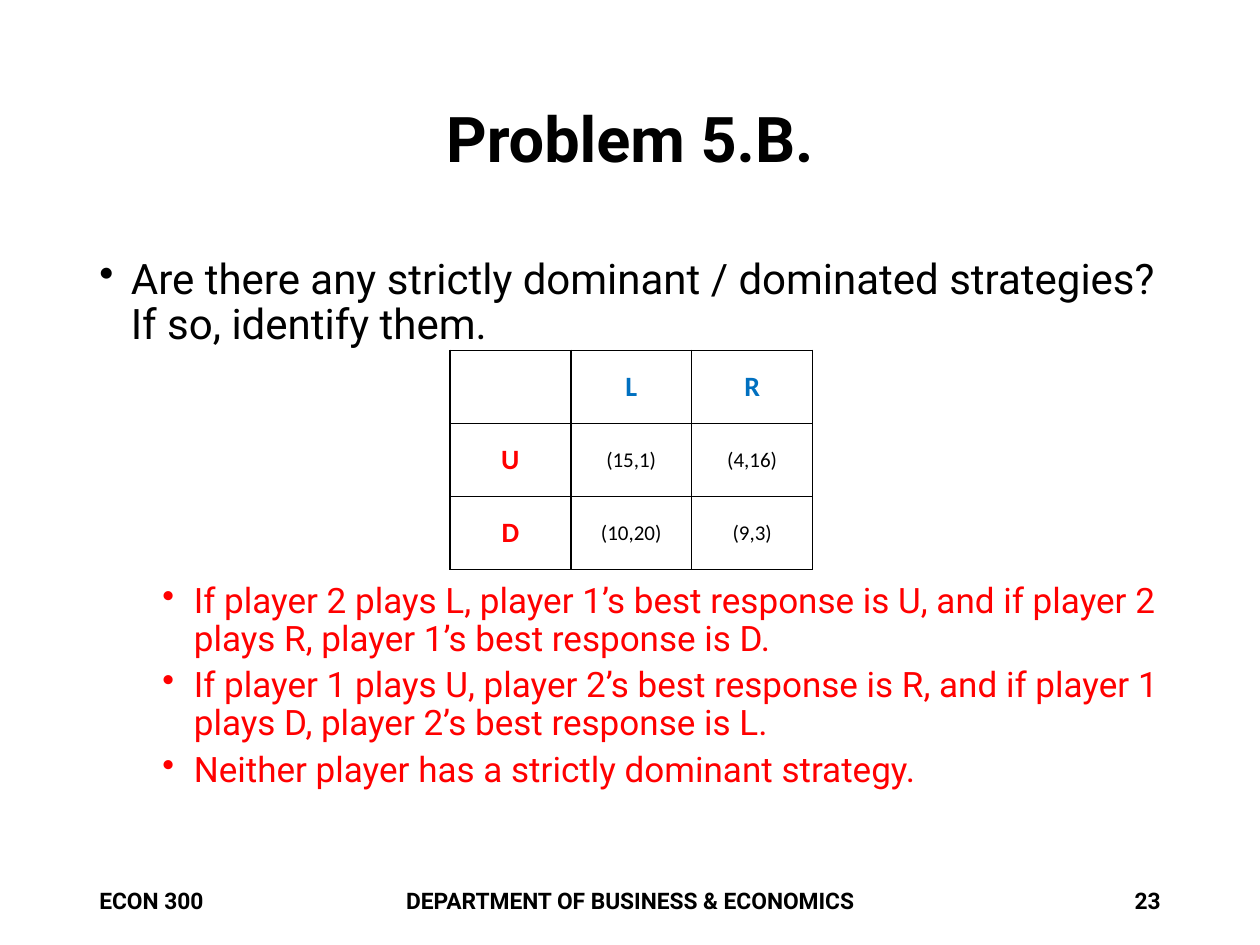
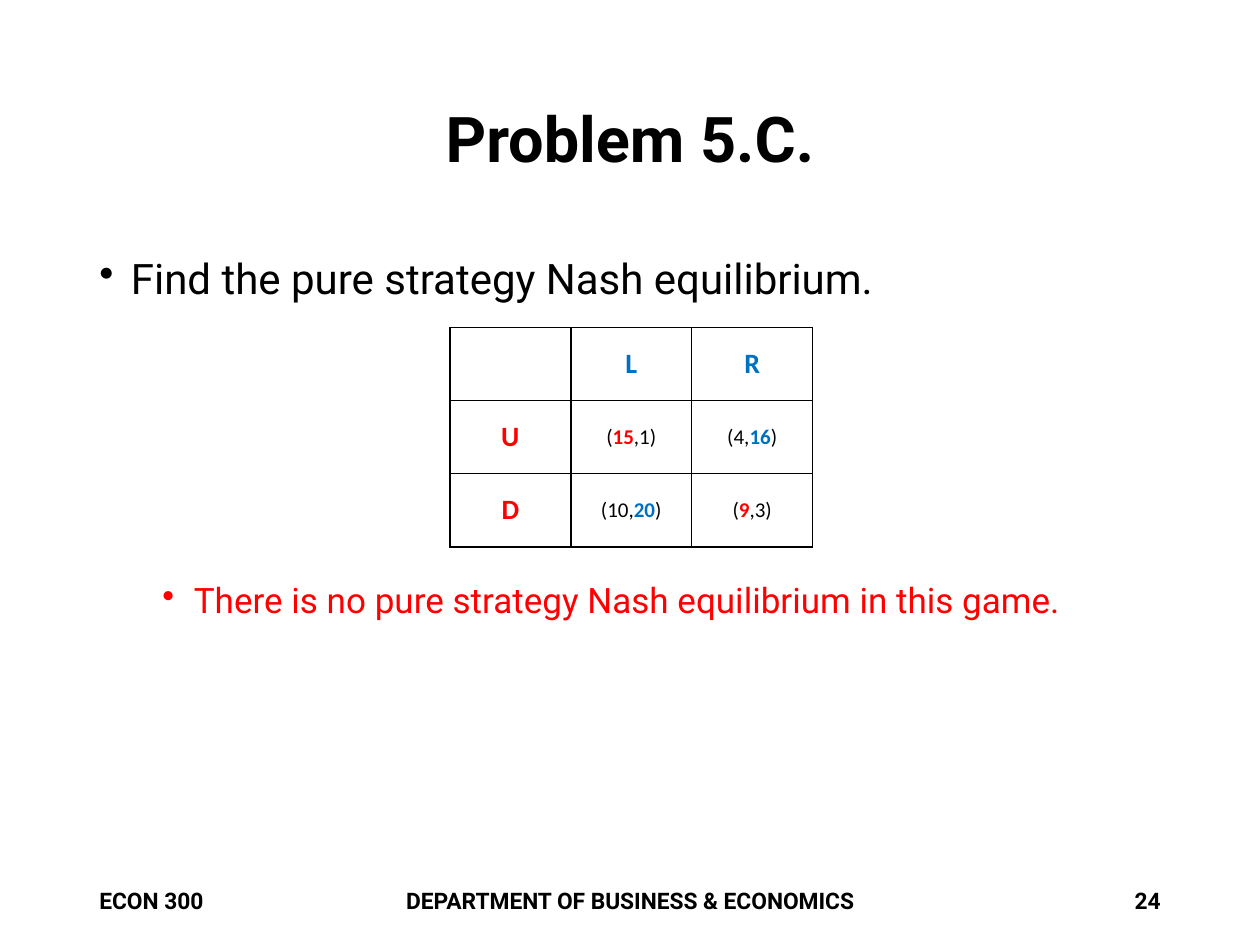
import pptx
import pptx.util
import pptx.dml.color
import pptx.enum.text
import pptx.oxml
import pptx.oxml.ns
from lxml import etree

Inches, Pt = pptx.util.Inches, pptx.util.Pt
RGBColor = pptx.dml.color.RGBColor
ALIGN = pptx.enum.text.PP_ALIGN
MIDDLE = pptx.enum.text.MSO_ANCHOR.MIDDLE
qn = pptx.oxml.ns.qn

# Shared colours and text formats
BLACK = RGBColor(0x00, 0x00, 0x00)
PLAYER_1 = RGBColor(0xFF, 0x00, 0x00)
PLAYER_2 = RGBColor(0x00, 0x70, 0xC0)
ANSWER = PLAYER_1

TITLE_FONT = {"name": "Roboto", "size": Pt(36), "bold": True}
QUESTION_FONT = {"name": "Roboto", "size": Pt(24), "bold": False}
ANSWER_FONT = {"name": "Roboto", "size": Pt(20), "bold": False}
FOOTER_FONT = {"name": "Roboto", "size": Pt(13), "bold": True}
STRATEGY_FONT = {"name": "Calibri", "size": Pt(16), "bold": True}
PAYOFF_FONT = {"name": "Calibri", "size": Pt(12), "bold": False}
BEST_FONT = {**PAYOFF_FONT, "bold": True}

# Shared regions: left, top, width, height in inches
TITLE_BOX = (0.69, 0.4, 8.62, 1.45)
BODY_BOX = (0.69, 2, 8.62, 4.76)
FOOTER_BOX = (0.69, 6.95, 8.62, 0.4)
GAME_LEFT, CELL_WIDTH, CELL_HEIGHT = 3.57, 0.96, 0.58

# Each payoff cell: player 1's payoff, player 2's payoff, index of the marked best response
PROBLEMS = [
    {
        "title": "Problem 5.B.",
        "number": "23",
        "question": "Are there any strictly dominant / dominated strategies? If so, identify them.",
        "game_top": 2.78,
        "payoffs": [[(15, 1, None), (4, 16, None)], [(10, 20, None), (9, 3, None)]],
        "answer_gap": 134,
        "answers": [
            "If player 2 plays L, player 1’s best response is U, and if player 2 plays R, player 1’s best response is D.",
            "If player 1 plays U, player 2’s best response is R, and if player 1 plays D, player 2’s best response is L.",
            "Neither player has a strictly dominant strategy.",
        ],
    },
    {
        "title": "Problem 5.C.",
        "number": "24",
        "question": "Find the pure strategy Nash equilibrium.",
        "game_top": 2.6,
        "payoffs": [[(15, 1, 0), (4, 16, 1)], [(10, 20, 1), (9, 3, 0)]],
        "answer_gap": 160,
        "answers": ["There is no pure strategy Nash equilibrium in this game."],
    },
]


def set_attributes(target, values):
    for name, value in values.items():
        setattr(target, name, value)


def add_run(paragraph, text, font_format, color=BLACK):
    run = paragraph.add_run()
    run.text = text
    set_attributes(run.font, font_format)
    run.font.color.rgb = color


def add_text_frame(slide, box):
    frame = slide.shapes.add_textbox(*map(Inches, box)).text_frame
    frame.word_wrap = True
    return frame


def add_title(slide, box, text):
    title = slide.shapes.title
    edges = ("left", "top", "width", "height")
    set_attributes(title, dict(zip(edges, map(Inches, box))))
    title.text_frame.vertical_anchor = MIDDLE
    heading = title.text_frame.paragraphs[0]
    set_attributes(heading, {"alignment": ALIGN.CENTER, "line_spacing": 0.9})
    add_run(heading, text, TITLE_FONT)


def format_bullet(paragraph, indent):
    properties = paragraph._p.get_or_add_pPr()
    properties.set("marL", str(Inches(indent)))
    properties.set("indent", str(Inches(-0.25)))
    etree.SubElement(properties, qn("a:buChar")).set("char", "•")
    paragraph.line_spacing = 0.9


def add_body(slide, box, question, answers, answer_gap):
    """Question above, answers below; the gap between leaves room for the game."""
    frame = add_text_frame(slide, box)
    question_line = frame.paragraphs[0]
    format_bullet(question_line, 0.25)
    add_run(question_line, question, QUESTION_FONT)
    for index, answer in enumerate(answers):
        answer_line = frame.add_paragraph()
        answer_line.level = 1
        format_bullet(answer_line, 0.75)
        answer_line.space_before = Pt(5 if index else answer_gap)
        add_run(answer_line, answer, ANSWER_FONT, ANSWER)


def add_footer(slide, box, number):
    left, top, width, height = box
    side, middle = 2.25, 6.3
    parts = [
        ("ECON 300", left, side, ALIGN.LEFT),
        ("DEPARTMENT OF BUSINESS & ECONOMICS", left + (width - middle) / 2, middle, ALIGN.CENTER),
        (number, left + width - side, side, ALIGN.RIGHT),
    ]
    for text, part_left, part_width, alignment in parts:
        frame = add_text_frame(slide, (part_left, top, part_width, height))
        frame.vertical_anchor = MIDDLE
        frame.paragraphs[0].alignment = alignment
        add_run(frame.paragraphs[0], text, FOOTER_FONT)


def format_cell(cell):
    set_attributes(cell, {
        "vertical_anchor": MIDDLE,
        "margin_left": Inches(0.07), "margin_right": Inches(0.07),
        "margin_top": Inches(0.03), "margin_bottom": Inches(0.03),
    })
    cell.fill.background()
    cell.text_frame.paragraphs[0].alignment = ALIGN.CENTER
    properties = cell._tc.get_or_add_tcPr()
    for position, side in enumerate(("lnL", "lnR", "lnT", "lnB")):
        border = etree.Element(qn(f"a:{side}"), w=str(Pt(1)))
        fill = etree.SubElement(border, qn("a:solidFill"))
        etree.SubElement(fill, qn("a:srgbClr"), val=str(BLACK))
        properties.insert(position, border)


def write_payoffs(paragraph, first, second, best):
    if best is None:
        add_run(paragraph, f"({first},{second})", PAYOFF_FONT)
        return
    before, marked, after, color = [
        ("(", first, f",{second})", PLAYER_1),
        (f"({first},", second, ")", PLAYER_2),
    ][best]
    add_run(paragraph, before, PAYOFF_FONT)
    add_run(paragraph, str(marked), BEST_FONT, color)
    add_run(paragraph, after, PAYOFF_FONT)


def add_game(slide, left, top, payoffs):
    size = 3
    game = slide.shapes.add_table(
        size, size, Inches(left), Inches(top),
        Inches(size * CELL_WIDTH), Inches(size * CELL_HEIGHT)).table
    set_attributes(game, {"first_row": False, "horz_banding": False})
    for cell in game.iter_cells():
        format_cell(cell)

    def line_at(row, column):
        return game.cell(row, column).text_frame.paragraphs[0]

    # Strategy names along the edges
    for index, (row_name, column_name) in enumerate(zip("UD", "LR"), 1):
        add_run(line_at(index, 0), row_name, STRATEGY_FONT, PLAYER_1)
        add_run(line_at(0, index), column_name, STRATEGY_FONT, PLAYER_2)
    # Payoff pairs
    for row, pairs in enumerate(payoffs, 1):
        for column, pair in enumerate(pairs, 1):
            write_payoffs(line_at(row, column), *pair)


def add_problem_slide(deck, problem):
    slide = deck.slides.add_slide(deck.slide_layouts.get_by_name("Title Only"))
    add_title(slide, TITLE_BOX, problem["title"])
    add_body(slide, BODY_BOX, problem["question"], problem["answers"], problem["answer_gap"])
    add_footer(slide, FOOTER_BOX, problem["number"])
    add_game(slide, GAME_LEFT, problem["game_top"], problem["payoffs"])


def main():
    deck = pptx.Presentation()
    deck.slide_width, deck.slide_height = Inches(10), Inches(7.5)
    for problem in PROBLEMS:
        add_problem_slide(deck, problem)
    deck.save("out.pptx")


if __name__ == "__main__":
    main()
